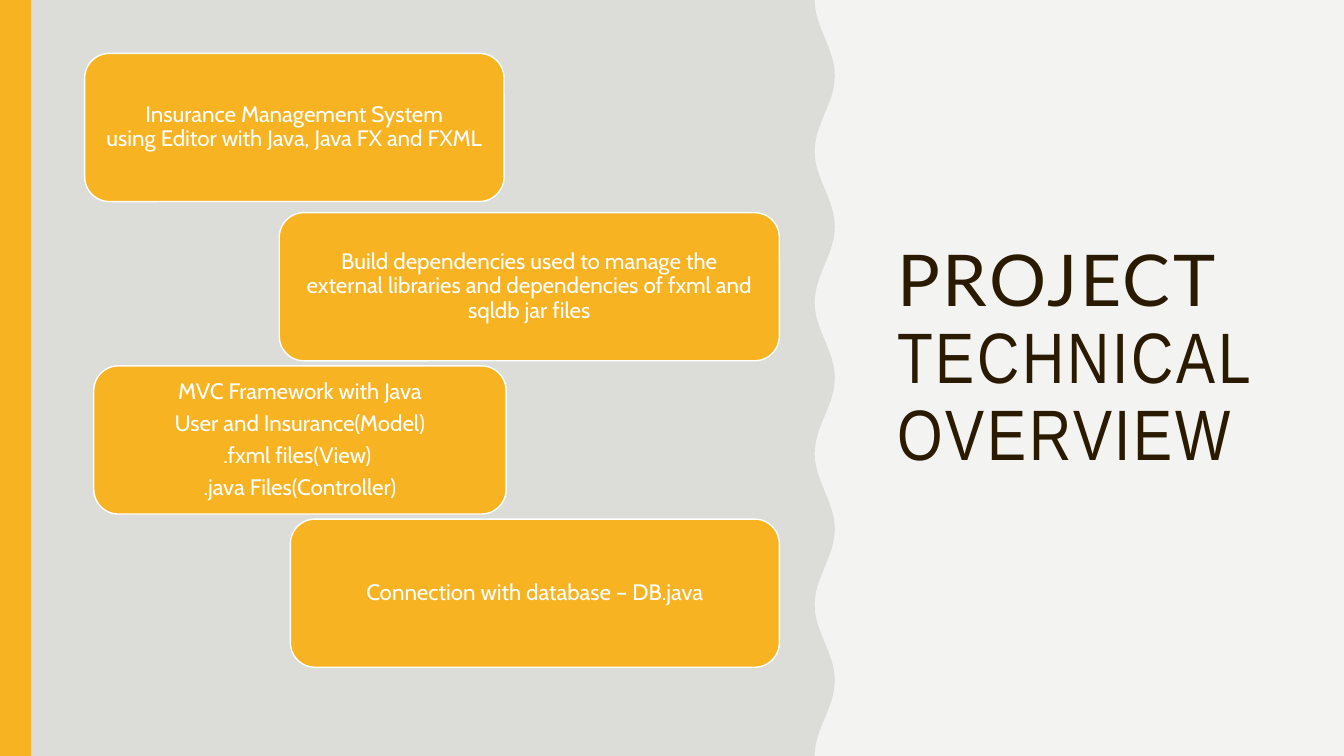
import math

from pptx import Presentation
from pptx.dml.color import RGBColor
from pptx.enum.shapes import MSO_SHAPE
from pptx.enum.text import MSO_ANCHOR, PP_ALIGN
from pptx.util import Inches, Pt

RECTANGLE = MSO_SHAPE.RECTANGLE
ROUNDED = MSO_SHAPE.ROUNDED_RECTANGLE
MIDDLE = MSO_ANCHOR.MIDDLE
CENTER = PP_ALIGN.CENTER

AMBER, PALE, GREY, BROWN, WHITE = "F8B323", "F3F3F2", "DCDCD9", "2A1A00", "FFFFFF"


def paint(fill, color):
    fill.solid()
    fill.fore_color.rgb = RGBColor.from_string(color)


def add_run(paragraph, text, font, size, color):
    run = paragraph.add_run()
    run.text = text
    run.font.name = font
    run.font.size = Pt(size)
    paint(run.font.fill, color)
    return run


prs = Presentation()
prs.slide_width, prs.slide_height = Inches(13.33), Inches(7.5)
slide = prs.slides.add_slide(prs.slide_layouts[6])
shapes = slide.shapes
paint(slide.background.fill, PALE)

# Title
title = shapes.add_textbox(Inches(8.8), Inches(0.53), Inches(4), Inches(6.09)).text_frame
title.word_wrap = True
title.vertical_anchor = MIDDLE
heading = title.paragraphs[0]
heading.line_spacing = 0.9
title_runs = [add_run(heading, "PROJECT", "Lato", 51, BROWN)]
heading.add_line_break()
title_runs.append(add_run(heading, "TECHNICAL OVERVIEW", "Arial Narrow", 51, BROWN))
for run in title_runs:
    run.font._element.set("spc", "200")

# Grey panel with five waves down its right edge
WAVE_LENGTH, STEPS = 1.5, 120
wave = []
for step in range(STEPS + 1):
    y = 7.5 * step / STEPS
    x = 8.18 - 0.1 * math.cos(2 * math.pi * y / WAVE_LENGTH)
    wave.append((Inches(x), Inches(y)))
outline = shapes.build_freeform(0, 0)
outline.add_line_segments(wave + [(0, Inches(7.5))], close=True)
panel = outline.convert_to_shape()
side_bar = shapes.add_shape(RECTANGLE, 0, 0, Inches(0.31), Inches(7.5))
for part, color in ((panel, GREY), (side_bar, AMBER)):
    part.shadow.inherit = False
    paint(part.fill, color)
    part.line.fill.background()

# Staggered cards: left, top, width, paragraphs; "\n" breaks a line inside a paragraph
cards = [
    (0.84, 0.53, 4.16, ["Insurance Management System\n"
                        "using Editor with Java, Java FX and FXML"]),
    (2.77, 2.11, 4.96, ["Build dependencies used to manage the\n"
                        "external libraries and dependencies of fxml and\n"
                        "sqldb jar files"]),
    (0.93, 3.63, 4.09, ["MVC Framework with Java", "User and Insurance(Model)",
                        ".fxml files(View) ", ".java Files(Controller)"]),
    (2.88, 5.15, 4.85, ["Connection with database – DB.java"]),
]
for left, top, width, texts in cards:
    card = shapes.add_shape(ROUNDED, Inches(left), Inches(top), Inches(width), Inches(1.47))
    card.shadow.inherit = False
    paint(card.fill, AMBER)
    paint(card.line.fill, WHITE)
    card.line.width = Pt(1)
    frame = card.text_frame
    frame.word_wrap = True
    frame.vertical_anchor = MIDDLE
    # The rounded corners already inset the text by 0.07 inch
    frame.margin_left = frame.margin_right = Inches(0.07)
    frame.margin_top = frame.margin_bottom = Inches(0.03)
    for index, text in enumerate(texts):
        paragraph = frame.paragraphs[0] if index == 0 else frame.add_paragraph()
        paragraph.alignment = CENTER
        paragraph.line_spacing = 0.9
        paragraph.space_after = Pt(5.6)
        for row, line in enumerate(text.split("\n")):
            if row:
                paragraph.add_line_break()
            add_run(paragraph, line, "Cabin", 16, WHITE)

prs.save("out.pptx")
